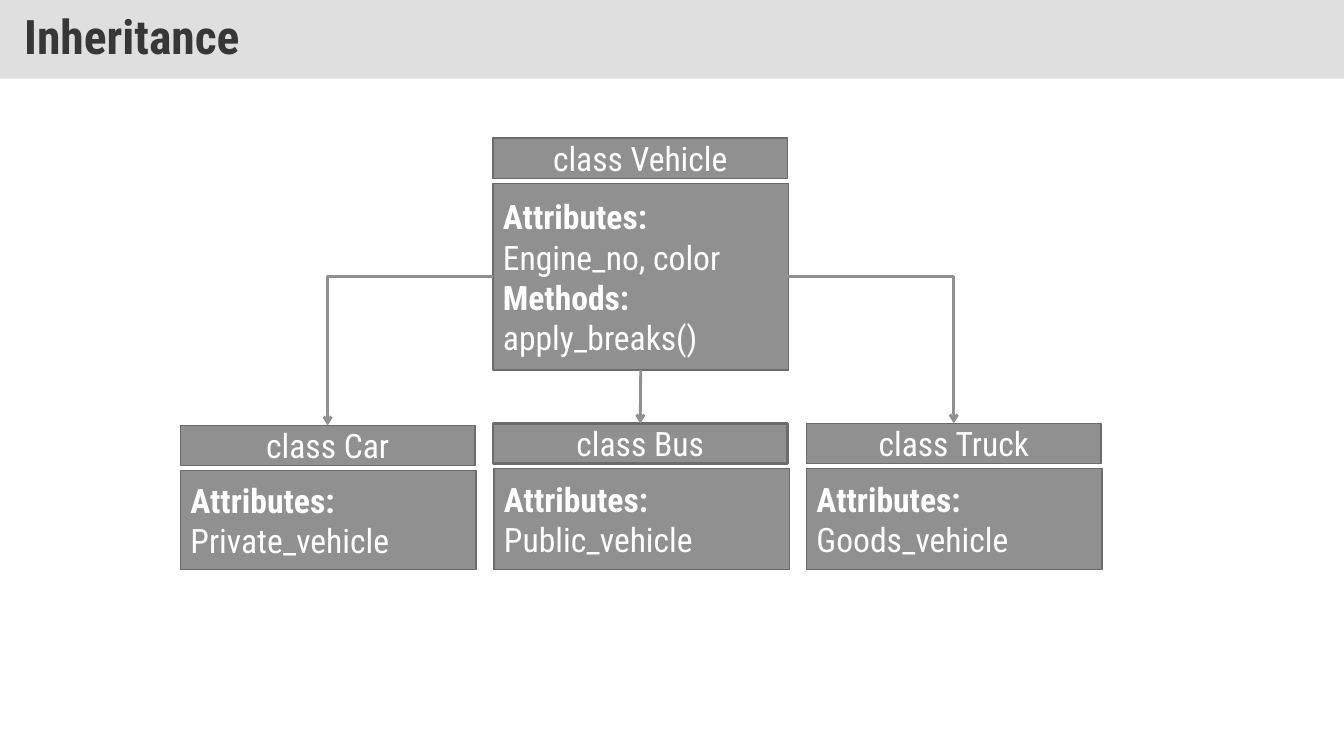
from pptx import Presentation
from pptx.dml.color import RGBColor
from pptx.enum import shapes, text
from pptx.oxml.ns import qn
from pptx.util import Inches, Pt
from lxml import etree

# Content
TITLE = "Inheritance"
PARENT = {
    "name": "class Vehicle", "at": (4.89, 1.37), "body_height": 1.85,
    "members": [("Attributes:", "Engine_no, color"), ("Methods:", "apply_breaks()")],
}
CHILDREN = [
    {"name": "class Car", "at": (1.79, 4.22), "body_height": 0.98,
     "members": [("Attributes:", "Private_vehicle")]},
    {"name": "class Bus", "at": (4.89, 4.2), "body_height": 1, "border": 2, "body_shift": 0.01,
     "members": [("Attributes:", "Public_vehicle")]},
    {"name": "class Truck", "at": (8, 4.2), "body_height": 1,
     "members": [("Attributes:", "Goods_vehicle")]},
]
# Side of the parent body where each arrow starts, and the arrow's geometry
ARROWS = [(1, "bentConnector2"), (2, "straightConnector1"), (3, "bentConnector2")]

# Format
COLORS = {"band": "C0C0C0", "title": "373737", "box": "909090", "border": "6B6B6B", "text": "FFFFFF"}
FONT = "Roboto Condensed"
NAME_SIZE = (2.92, 0.4)
BODY_WIDTH = 2.93
BODY_DROP = 0.45


def color(key):
    return RGBColor.from_string(COLORS[key])


def set_font(paragraph, size, color_key, bold):
    for attribute, value in {"name": FONT, "size": Pt(size), "bold": bold}.items():
        setattr(paragraph.font, attribute, value)
    paragraph.font.color.rgb = color(color_key)


def add_box(slide, left, top, width, height, lines, align, border=1):
    """Draw a filled box; lines holds (wording, bold) pairs."""
    box = slide.shapes.add_shape(shapes.MSO_SHAPE.RECTANGLE, *map(Inches, (left, top, width, height)))
    box.shadow.inherit = False
    box.fill.solid()
    box.fill.fore_color.rgb = color("box")
    box.line.color.rgb = color("border")
    box.line.width = Pt(border)
    frame = box.text_frame
    frame.word_wrap = True
    frame.vertical_anchor = text.MSO_ANCHOR.MIDDLE
    for index, (wording, bold) in enumerate(lines):
        paragraph = frame.add_paragraph() if index else frame.paragraphs[0]
        paragraph.text = wording
        paragraph.alignment = align
        set_font(paragraph, 24, "text", bold)
    return box


def add_class(slide, entry):
    """Draw a class as a name box over a body box, and return both."""
    left, top = entry["at"]
    lines = [line for heading, member in entry["members"] for line in ((heading, True), (member, False))]
    body = add_box(slide, left + entry.get("body_shift", 0), top + BODY_DROP, BODY_WIDTH,
                   entry["body_height"], lines, text.PP_ALIGN.LEFT)
    name = add_box(slide, left, top, *NAME_SIZE, [(entry["name"], False)],
                   text.PP_ALIGN.CENTER, entry.get("border", 1))
    return name, body


def add_arrow(slide, body, side, child_name, geometry):
    arrow = slide.shapes.add_connector(shapes.MSO_CONNECTOR.ELBOW, 0, 0, 0, 0)
    arrow.begin_connect(body, side)
    arrow.end_connect(child_name, 0)
    arrow.line.color.rgb = color("box")
    arrow.line.width = Pt(2)
    properties = arrow._element.spPr
    properties.find(qn("a:prstGeom")).set("prst", geometry)
    etree.SubElement(properties.find(qn("a:ln")), qn("a:tailEnd"), type="arrow")
    etree.SubElement(properties, qn("a:effectLst"))


def add_title(slide):
    title = slide.shapes.title
    band = {"left": 0, "top": 0, "width": 13.33, "height": 0.78}
    for attribute, value in band.items():
        setattr(title, attribute, Inches(value))
    title.fill.solid()
    title.fill.fore_color.rgb = color("band")
    tint = title._element.spPr.find(qn("a:solidFill"))[0]
    etree.SubElement(tint, qn("a:alpha"), val="50000")
    frame = title.text_frame
    frame_format = {
        "margin_left": Inches(0.24), "margin_right": Inches(0.24),
        "margin_top": Inches(0.12), "margin_bottom": Inches(0.12),
        "vertical_anchor": text.MSO_ANCHOR.MIDDLE,
        "auto_size": text.MSO_AUTO_SIZE.NONE, "word_wrap": True,
    }
    for attribute, value in frame_format.items():
        setattr(frame, attribute, value)
    frame.text = TITLE
    heading = frame.paragraphs[0]
    heading.alignment = text.PP_ALIGN.LEFT
    heading.line_spacing = 0.9
    set_font(heading, 34, "title", True)


def main():
    deck = Presentation()
    deck.slide_width, deck.slide_height = Inches(13.33), Inches(7.5)
    slide = deck.slides.add_slide(deck.slide_layouts[5])
    add_title(slide)

    # Class boxes, then the arrows from parent to children
    child_names = [add_class(slide, child)[0] for child in CHILDREN]
    parent_body = add_class(slide, PARENT)[1]
    for child_name, (side, geometry) in zip(child_names, ARROWS):
        add_arrow(slide, parent_body, side, child_name, geometry)

    deck.save("out.pptx")


if __name__ == "__main__":
    main()
